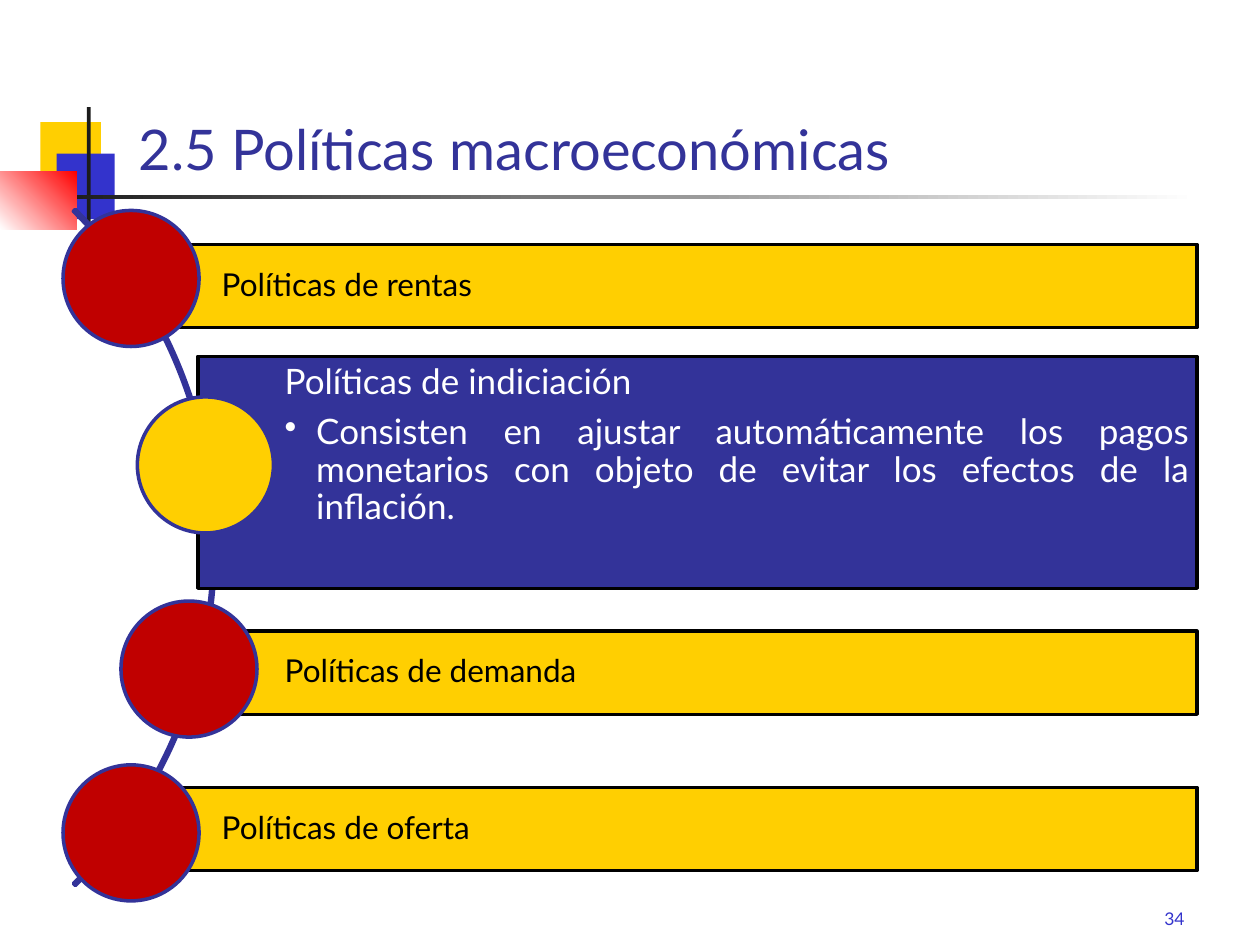
"""Build the slide on macroeconomic policies."""
from typing import NamedTuple

from lxml import etree
from pptx import Presentation
from pptx.dml.color import RGBColor
from pptx.enum.shapes import MSO_SHAPE
from pptx.enum.text import MSO_ANCHOR, MSO_AUTO_SIZE, PP_ALIGN
from pptx.oxml.ns import qn
from pptx.util import Inches, Pt

RECTANGLE, OVAL, ARC = MSO_SHAPE.RECTANGLE, MSO_SHAPE.OVAL, MSO_SHAPE.BLOCK_ARC
TOP, MIDDLE, BOTTOM = MSO_ANCHOR.TOP, MSO_ANCHOR.MIDDLE, MSO_ANCHOR.BOTTOM
LEFT, RIGHT, JUSTIFY = PP_ALIGN.LEFT, PP_ALIGN.RIGHT, PP_ALIGN.JUSTIFY
NO_FIT = MSO_AUTO_SIZE.NONE

YELLOW = RGBColor(0xFF, 0xCF, 0x01)
BLUE = RGBColor(0x33, 0x33, 0xCC)
NAVY = RGBColor(0x33, 0x33, 0x99)
DARK = RGBColor(0x1C, 0x1C, 0x1C)
CRIMSON = RGBColor(0xC0, 0x00, 0x00)
RED = RGBColor(0xFF, 0x00, 0x00)
WHITE = RGBColor(0xFF, 0xFF, 0xFF)
BLACK = RGBColor(0x00, 0x00, 0x00)

FONT = "Lato"
BAR_RIGHT = 9.5
CIRCLE_SIZE = 1.08
TEXT_INDENT = 0.69


class Ornament(NamedTuple):
    place: tuple[float, float, float, float]
    colors: tuple[RGBColor, ...]
    angle: int = 0


class Policy(NamedTuple):
    name: str
    left: float
    top: float
    height: float = 0.66
    detail: str = ""
    size: int = 18
    inset: float = 0.05
    anchor: MSO_ANCHOR = MIDDLE
    bar_color: RGBColor = YELLOW
    circle_color: RGBColor = CRIMSON
    text_color: RGBColor = BLACK


ORNAMENTS = [
    Ornament((0.32, 0.97, 0.48, 0.52), (YELLOW,)),
    Ornament((0.45, 1.22, 0.46, 0.52), (BLUE,)),
    Ornament((0.69, 0.85, 0.03, 1.15), (DARK,)),
    Ornament((0.5, 1.55, 9, 0.03), (DARK, WHITE)),
    Ornament((0, 1.36, 0.61, 0.46), (WHITE, RED), 45),
]
POLICIES = [
    Policy("Políticas de rentas", 1.07, 1.94),
    Policy(
        "Políticas de indiciación", 1.57, 2.83, 1.84,
        "Consisten en ajustar automáticamente los pagos monetarios "
        "con objeto de evitar los efectos de la inflación.",
        20, 0.06, TOP, NAVY, YELLOW, WHITE,
    ),
    Policy("Políticas de demanda", 1.57, 5.01),
    Policy("Políticas de oferta", 1.07, 6.25),
]
CIRCLE_PLACES = [(0.5, 1.67), (1.09, 3.15), (0.96, 4.77), (0.5, 6.07)]


def set_attributes(target, values: dict) -> None:
    for name, value in values.items():
        setattr(target, name, value)


def add_shape(page, kind, place, fill=None, line=None):
    shape = page.shapes.add_shape(kind, *map(Inches, place))
    shape.shadow.inherit = False
    if fill is None:
        shape.fill.background()
    else:
        shape.fill.solid()
        shape.fill.fore_color.rgb = fill
    if line is None:
        shape.line.fill.background()
    else:
        shape.line.color.rgb = line
        shape.line.width = Pt(2)
    return shape


def add_ornament(page, ornament: Ornament) -> None:
    shape = add_shape(page, RECTANGLE, ornament.place, ornament.colors[0])
    if len(ornament.colors) > 1:
        shape.fill.gradient()
        shape.fill.gradient_angle = ornament.angle
        for stop, color in zip(shape.fill.gradient_stops, ornament.colors):
            stop.color.rgb = color


def write(paragraph, text: str, size: int, color: RGBColor, **formats) -> None:
    set_attributes(paragraph, formats)
    span = paragraph.add_run()
    span.text = text
    set_attributes(span.font, {"name": FONT, "size": Pt(size)})
    span.font.color.rgb = color


def add_bullet(paragraph) -> None:
    properties = paragraph._p.get_or_add_pPr()
    properties.set("marL", str(Inches(0.25)))
    properties.set("indent", str(Inches(-0.25)))
    etree.SubElement(properties, qn("a:buChar")).set("char", "•")


def add_policy(page, policy: Policy, circle_place: tuple[float, float]) -> None:
    place = (policy.left, policy.top, BAR_RIGHT - policy.left, policy.height)
    frame = add_shape(page, RECTANGLE, place, policy.bar_color, BLACK).text_frame
    margin = Inches(policy.inset)
    set_attributes(frame, {
        "word_wrap": True, "vertical_anchor": policy.anchor,
        "margin_left": Inches(TEXT_INDENT), "margin_right": margin,
        "margin_top": margin, "margin_bottom": margin,
    })
    formats = {"alignment": JUSTIFY, "line_spacing": 0.9}
    write(frame.paragraphs[0], policy.name, policy.size, policy.text_color,
          space_after=Pt(0.35 * policy.size), **formats)
    if policy.detail:
        paragraph = frame.add_paragraph()
        add_bullet(paragraph)
        write(paragraph, policy.detail, policy.size, policy.text_color,
              level=1, space_after=Pt(0.15 * policy.size), **formats)
    add_shape(page, OVAL, (*circle_place, CIRCLE_SIZE, CIRCLE_SIZE),
              policy.circle_color, NAVY)


def add_title(page) -> None:
    title = page.shapes.title
    set_attributes(title, {"left": Inches(1), "top": Inches(0.33),
                           "width": Inches(8.5), "height": Inches(1.17)})
    set_attributes(title.text_frame, {"vertical_anchor": BOTTOM, "word_wrap": True,
                                      "auto_size": NO_FIT})
    write(title.text_frame.paragraphs[0], "2.5 Políticas macroeconómicas", 32, NAVY,
          alignment=LEFT, line_spacing=0.9)


def add_page_number(page) -> None:
    box = page.shapes.add_textbox(*map(Inches, (7.42, 6.92, 2.08, 0.5)))
    set_attributes(box.text_frame, {"vertical_anchor": BOTTOM, "word_wrap": True})
    write(box.text_frame.paragraphs[0], "34", 10, BLUE, alignment=RIGHT)


def main() -> None:
    deck = Presentation()
    set_attributes(deck, {"slide_width": Inches(10), "slide_height": Inches(7.5)})
    page = deck.slides.add_slide(deck.slide_layouts[5])
    for ornament in ORNAMENTS:
        add_ornament(page, ornament)
    add_title(page)
    add_page_number(page)
    arc = add_shape(page, ARC, (-5.88, 0.55, 7.59, 7.59), line=NAVY)
    for index, value in enumerate((189, 27, 0.003)):
        arc.adjustments[index] = value
    for policy, circle_place in zip(POLICIES, CIRCLE_PLACES):
        add_policy(page, policy, circle_place)
    deck.save("out.pptx")


if __name__ == "__main__":
    main()
